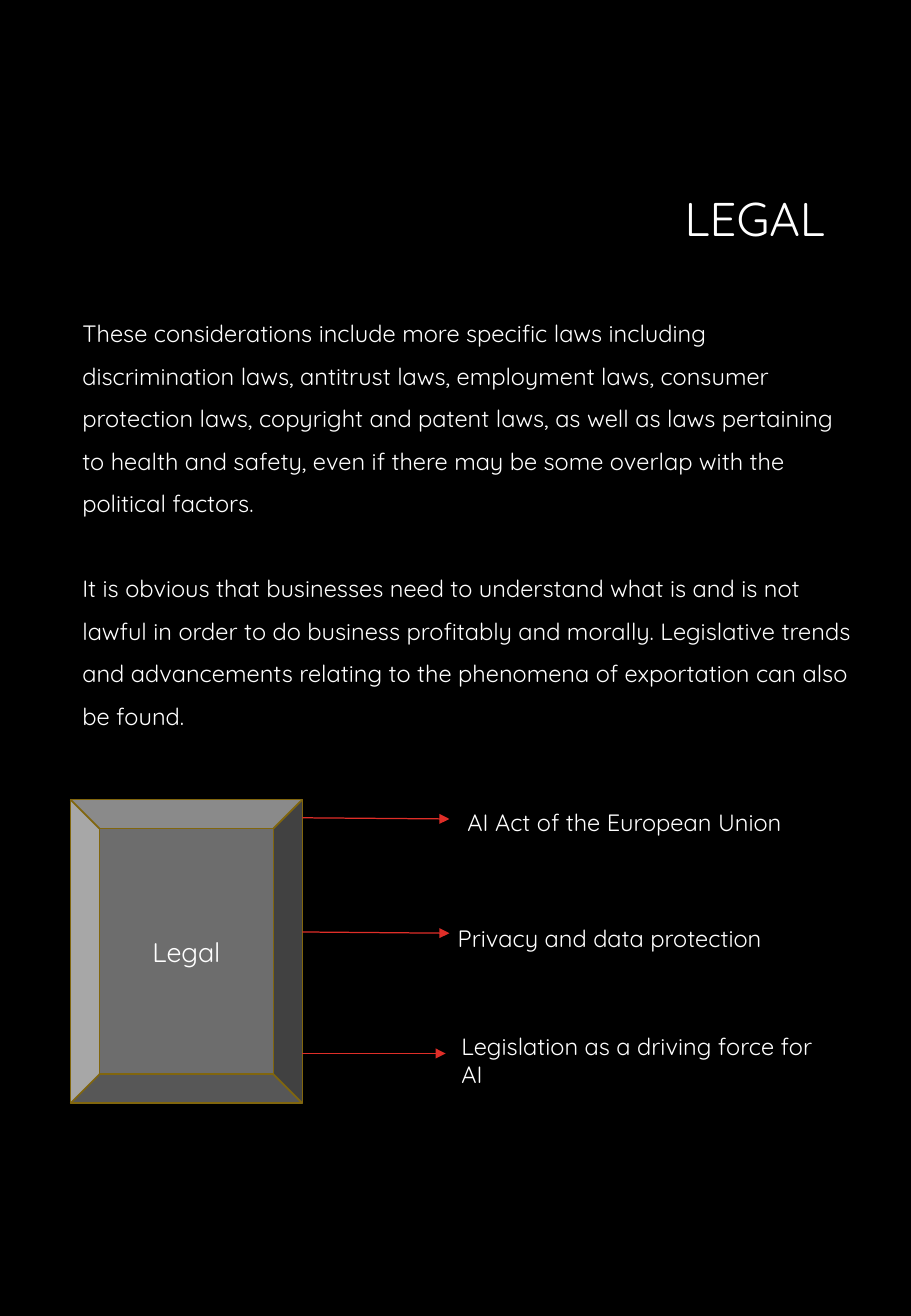
from pptx import Presentation
from pptx.dml.color import RGBColor
from pptx.enum.shapes import MSO_CONNECTOR, MSO_SHAPE
from pptx.enum.text import MSO_ANCHOR, PP_ALIGN
from pptx.oxml.ns import qn
from pptx.util import Inches, Pt
from lxml.etree import SubElement

CELL = 0.1  # inches per grid column and row


def color(code):
    return RGBColor.from_string(code)


def grid(*cells):
    return [Inches(cell * CELL) for cell in cells]


class Page:
    font, ink, back = "Quicksand", "FFFFFF", "000000"
    gray, gold, red = "6D6D6D", "81660E", "DF2E28"

    def __init__(self, deck):
        self.slide = deck.slides.add_slide(deck.slide_layouts[6])
        fill = self.slide.background.fill
        fill.solid()
        fill.fore_color.rgb = color(self.back)

    def label(self, shape, texts, size, align, anchor, lead=1.0, gap=0):
        frame = shape.text_frame
        frame.word_wrap = True
        frame.vertical_anchor = anchor
        for i, text in enumerate(texts):
            para = frame.add_paragraph() if i else frame.paragraphs[0]
            para.text = text
            para.alignment = align
            para.line_spacing = lead
            if i:
                para.space_before = Pt(gap)
            para.font.name = self.font
            para.font.size = Pt(size)
            para.font.color.rgb = color(self.ink)

    def text(self, box, texts, size=14, align=PP_ALIGN.LEFT,
             anchor=MSO_ANCHOR.TOP, **style):
        shape = self.slide.shapes.add_textbox(*grid(*box))
        self.label(shape, texts, size, align, anchor, **style)

    def bevel(self, box, name):
        shape = self.slide.shapes.add_shape(MSO_SHAPE.BEVEL, *grid(*box))
        shape.shadow.inherit = False
        shape.fill.solid()
        shape.fill.fore_color.rgb = color(self.gray)
        shape.line.color.rgb = color(self.gold)
        shape.line.width = Pt(1)
        self.label(shape, [name], 16, PP_ALIGN.CENTER, MSO_ANCHOR.MIDDLE)

    def arrow(self, start, end):
        link = self.slide.shapes.add_connector(
            MSO_CONNECTOR.STRAIGHT, *grid(*start, *end))
        link.line.color.rgb = color(self.red)
        link.line.width = Pt(0.75)
        props = link.element.spPr
        SubElement(props.find(qn("a:ln")), qn("a:tailEnd"), type="triangle")
        SubElement(props, qn("a:effectLst"))


def main():
    deck = Presentation()
    deck.slide_width, deck.slide_height = Inches(7.5), Inches(10.83)
    page = Page(deck)

    # Title
    page.text((16.6, 12.9, 52.3, 10.6), ["LEGAL"], 28, PP_ALIGN.RIGHT,
              MSO_ANCHOR.MIDDLE, lead=0.9)

    # Body
    page.text((5.8, 24.6, 65.3, 36.5), [
        "These considerations include more specific laws including "
        "discrimination laws, antitrust laws, employment laws, consumer "
        "protection laws, copyright and patent laws, as well as laws "
        "pertaining to health and safety, even if there may be some overlap "
        "with the political factors.",
        "It is obvious that businesses need to understand what is and is not "
        "lawful in order to do business profitably and morally. Legislative "
        "trends and advancements relating to the phenomena of exportation "
        "can also be found.",
    ], lead=1.5, gap=25.2)

    # Legal block with its three topics
    left, wide = 5.8, 19.1
    page.bevel((left, 65.8, wide, 25), "Legal")
    topics = [
        ("AI Act of the European Union", 37.5, 66, 3.4, 67.3, (37, 67.4)),
        ("Privacy and data protection", 36.7, 75.5, 3.4, 76.7, (37, 76.8)),
        ("Legislation as a driving force for AI", 37, 84.4, 5.7, 86.7,
         (36.7, 86.7)),
    ]
    for topic, col, row, tall, start, tip in topics:
        page.text((col, row, 31.4, tall), [topic])
        page.arrow((left + wide, start), tip)

    deck.save("out.pptx")


if __name__ == "__main__":
    main()
